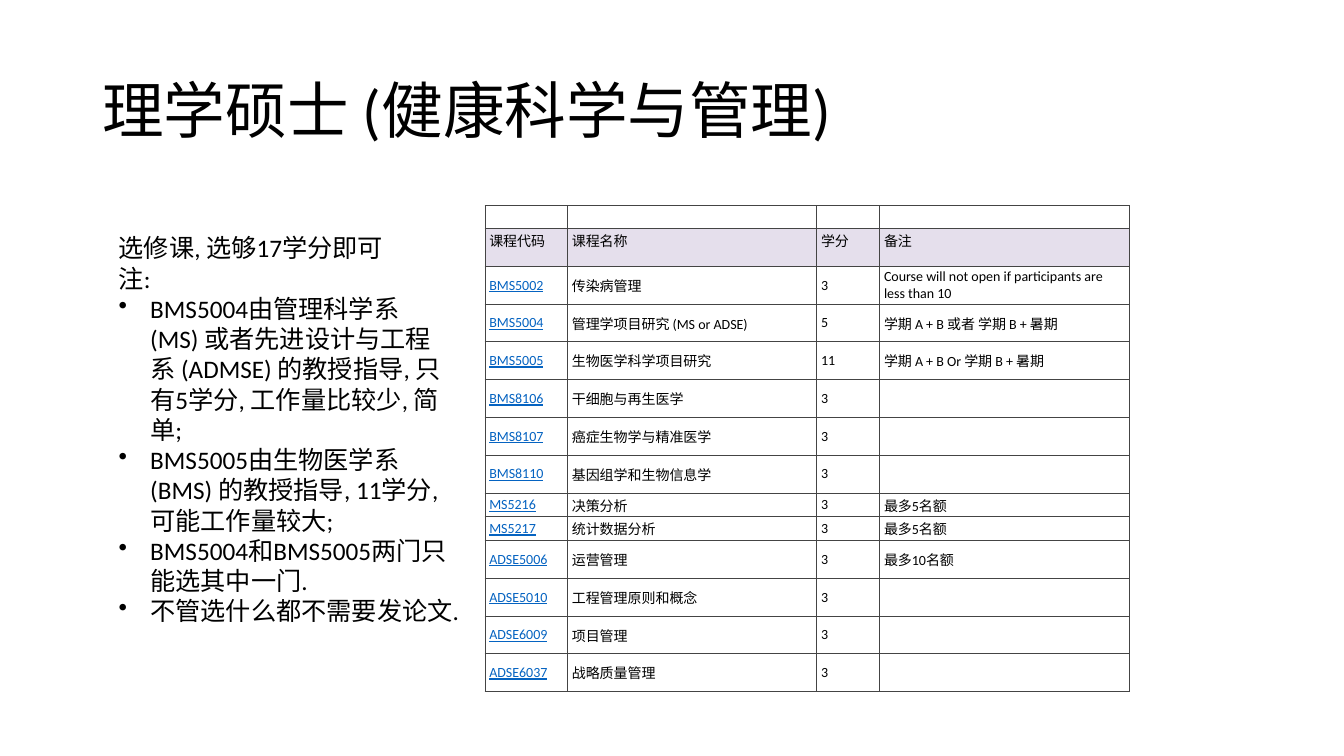
import dataclasses

import lxml.etree
import pptx
import pptx.dml.color
import pptx.enum.text
import pptx.oxml.ns
import pptx.util

Pt = pptx.util.Pt
qn = pptx.oxml.ns.qn
MIDDLE = pptx.enum.text.MSO_ANCHOR.MIDDLE


@dataclasses.dataclass(frozen=True)
class Theme:
    font: str = "Calibri"
    title_size: float = 44
    body_size: float = 18
    table_size: float = 10
    ink: str = "000000"
    link: str = "0563C1"
    header: str = "E5DFEC"
    paper: str = "FFFFFF"
    border: str = "444444"


THEME = Theme()

TITLE = "理学硕士 (健康科学与管理)"
INTRO = ["选修课, 选够17学分即可", "注:"]
NOTES = [
    "BMS5004由管理科学系 (MS) 或者先进设计与工程系 (ADMSE) 的教授指导, 只有5学分, 工作量比较少, 简单;",
    "BMS5005由生物医学系 (BMS) 的教授指导, 11学分, 可能工作量较大;",
    "BMS5004和BMS5005两门只能选其中一门.",
    "不管选什么都不需要发论文.",
]
HEADER = ("课程代码", "课程名称", "学分", "备注")
COURSES = [
    ("BMS5002", "传染病管理", "3", "Course will not open if participants are less than 10"),
    ("BMS5004", "管理学项目研究 (MS or ADSE)", "5", "学期 A + B 或者 学期 B + 暑期"),
    ("BMS5005", "生物医学科学项目研究", "11", "学期 A + B Or 学期 B + 暑期"),
    ("BMS8106", "干细胞与再生医学", "3", ""),
    ("BMS8107", "癌症生物学与精准医学", "3", ""),
    ("BMS8110", "基因组学和生物信息学", "3", ""),
    ("MS5216", "决策分析", "3", "最多5名额"),
    ("MS5217", "统计数据分析", "3", "最多5名额"),
    ("ADSE5006", "运营管理", "3", "最多10名额"),
    ("ADSE5010", "工程管理原则和概念", "3", ""),
    ("ADSE6009", "项目管理", "3", ""),
    ("ADSE6037", "战略质量管理", "3", ""),
]
COLUMN_WIDTHS = (59, 178, 45, 178)
SPACER_HEIGHT, ROW_HEIGHT, SHORT_ROW_HEIGHT = 16.5, 27, 17
PLAIN_TABLE_STYLE = "{2D5ABB26-0587-4C30-8999-92F81FD0307C}"


def rgb(value):
    return pptx.dml.color.RGBColor.from_string(value)


def style(para, size, color=THEME.ink, underline=False):
    font = para.font
    font.name, font.size, font.underline = THEME.font, Pt(size), underline
    font.color.rgb = rgb(color)


def add_text_box(page, box):
    frame = page.shapes.add_textbox(*map(Pt, box)).text_frame
    frame.word_wrap = True
    return frame


def add_title(page, box):
    frame = add_text_box(page, box)
    frame.vertical_anchor = MIDDLE
    para = frame.paragraphs[0]
    para.text = TITLE
    para.line_spacing = 0.9
    style(para, THEME.title_size)


def add_bullet(para):
    properties = para._p.get_or_add_pPr()
    properties.set("marL", str(Pt(22.5)))
    properties.set("indent", str(Pt(-22.5)))
    bullet = lxml.etree.Element(qn("a:buChar"), char="•")
    properties.insert_element_before(bullet, "a:tabLst", "a:defRPr", "a:extLst")


def add_notes(page, box):
    frame = add_text_box(page, box)
    for index, text in enumerate(INTRO + NOTES):
        para = frame.add_paragraph() if index else frame.paragraphs[0]
        para.text = text
        style(para, THEME.body_size)
        if text in NOTES:
            add_bullet(para)


def add_borders(cell):
    properties = cell._tc.get_or_add_tcPr()
    for index, side in enumerate(("a:lnL", "a:lnR", "a:lnT", "a:lnB")):
        line = lxml.etree.Element(qn(side), w=str(Pt(0.75)))
        fill = lxml.etree.SubElement(line, qn("a:solidFill"))
        lxml.etree.SubElement(fill, qn("a:srgbClr"), val=THEME.border)
        properties.insert(index, line)


def fill_cell(cell, text, fill, color, anchor):
    cell.margin_left = cell.margin_right = Pt(3)
    cell.margin_top = cell.margin_bottom = Pt(1.5)
    cell.vertical_anchor = anchor
    cell.fill.solid()
    cell.fill.fore_color.rgb = rgb(fill)
    para = cell.text_frame.paragraphs[0]
    para.text = text
    style(para, THEME.table_size, color, underline=color == THEME.link)
    if not text:  # an empty cell takes its height from the end mark
        lxml.etree.SubElement(para._p, qn("a:endParaRPr"), sz=str(int(THEME.table_size * 100)))
    add_borders(cell)


def add_course_table(page, left, top):
    """The first row stays empty, above the header row."""
    rows = [("",) * len(HEADER), HEADER, *COURSES]
    heights = [SPACER_HEIGHT, ROW_HEIGHT]
    heights += [SHORT_ROW_HEIGHT if row[0].startswith("MS") else ROW_HEIGHT for row in COURSES]
    box = (left, top, sum(COLUMN_WIDTHS), sum(heights))
    frame = page.shapes.add_table(len(rows), len(HEADER), *map(Pt, box))
    table = frame.table
    table.first_row = table.horz_banding = False
    table._tbl.tblPr.find(qn("a:tableStyleId")).text = PLAIN_TABLE_STYLE
    for column, width in zip(table.columns, COLUMN_WIDTHS):
        column.width = Pt(width)
    for row_index, (row, height) in enumerate(zip(rows, heights)):
        table.rows[row_index].height = Pt(height)
        is_course = row in COURSES
        for column_index, text in enumerate(row):
            fill_cell(
                table.cell(row_index, column_index),
                text,
                fill=THEME.header if row is HEADER else THEME.paper,
                color=THEME.link if is_course and column_index == 0 else THEME.ink,
                anchor=MIDDLE if is_course else pptx.enum.text.MSO_ANCHOR.TOP,
            )


def main():
    deck = pptx.Presentation()
    deck.slide_width, deck.slide_height = Pt(960), Pt(540)
    page = deck.slides.add_slide(deck.slide_layouts[6])
    add_title(page, (66, 28.75, 828, 104.4))
    add_course_table(page, 346.5, 146.75)
    add_notes(page, (77.75, 162.75, 252.75, 269.25))
    deck.save("out.pptx")


if __name__ == "__main__":
    main()
